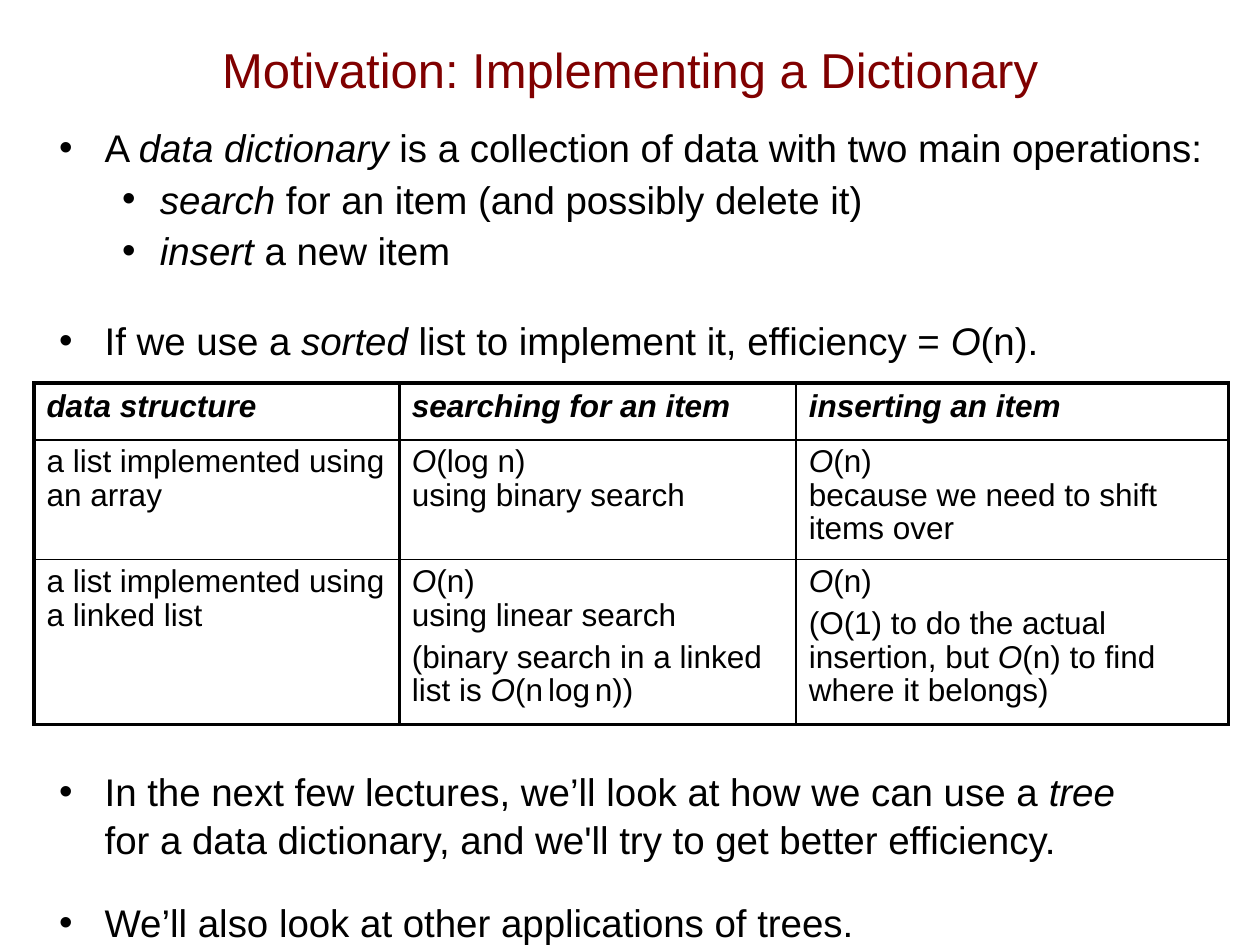
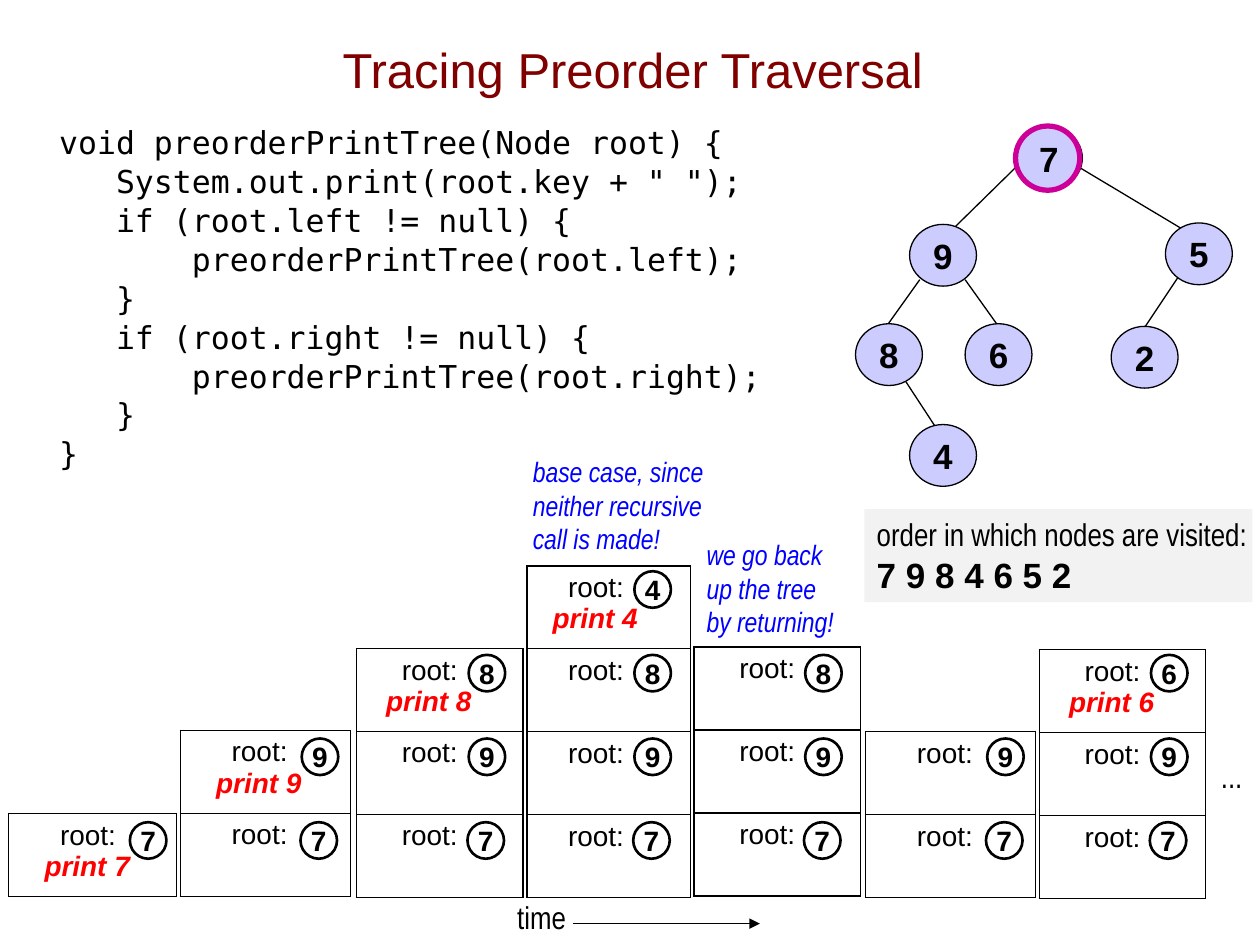
from dataclasses import dataclass
from itertools import groupby

from lxml import etree
from pptx import Presentation
from pptx import util as u
from pptx.dml.color import RGBColor
from pptx.enum import shapes, text
from pptx.oxml.ns import qn


@dataclass(frozen=True)
class Theme:
    ink: str = "000000"
    heading: str = "800000"
    printed: str = "FF0000"
    note: str = "0000FF"
    node: str = "CCCCFF"
    ring: str = "CC0099"
    panel: str = "F2F2F2"
    sans: str = "Arial"
    narrow: str = "Arial Narrow"
    mono: str = "DejaVu Sans Mono"
    title_size: int = 28
    bullet_size: int = 22
    key_size: int = 20
    text_size: int = 18
    frame_size: int = 16
    gap_size: int = 10
    thin: float = 0.75
    grid: float = 1
    medium: float = 1.5
    thick: float = 2.25
    bold_line: float = 3


T = Theme()

# In marked text, * toggles italics, | breaks the line and ~ is a narrow space.
DICTIONARY_TITLE = "Motivation: Implementing a Dictionary"
DICTIONARY_BULLETS = [
    (0, 0, "A *data dictionary *is a collection of data with two main operations:"),
    (1, 2, "*search* for an item (and possibly delete it)"),
    (1, 2, "*insert* a new item"),
    (0, 24, "If we use a *sorted* list to implement it, efficiency = *O*(n)."),
    (0, 230, "In the next few lectures, we’ll look at how we can use a *tree *|"
             "for a data dictionary, and we'll try to get better efficiency."),
    (0, 20, "We’ll also look at other applications of trees."),
]
BULLET_INDENTS = [(26, -26), (57.6, -21.6)]
EFFICIENCY = [
    [["*data structure*"], ["*searching for an item*"], ["*inserting an item*"]],
    [["a list implemented using an array"],
     ["*O*(log n)", "using binary search"],
     ["*O*(n)", "because we need to shift items over"]],
    [["a list implemented using a linked list"],
     ["*O*(n)", "using linear search",
      "(binary search in a linked list is *O*(n~log~n))"],
     ["*O*(n)", "(O(1) to do the actual insertion, but *O*(n) to find where it belongs)"]],
]
EFFICIENCY_COLUMNS = [208.8, 226.8, 247]
EFFICIENCY_ROWS = [32.4, 68.4, 94.3]

TRAVERSAL_TITLE = "Tracing Preorder Traversal"
CODE = [
    (0, "void preorderPrintTree(Node root) {"),
    (3, 'System.out.print(root.key + " ");'),
    (3, "if (root.left != null) {"),
    (7, "preorderPrintTree(root.left);"),
    (3, "}"),
    (3, "if (root.right != null) {"),
    (7, "preorderPrintTree(root.right);"),
    (3, "}"),
    (0, "}"),
]
CODE_CHAR = 10.84

# left, top, width, inset, unused rows, badge left, keys from the top, prints
STACKS = [
    (5, 370.1, 95.8, 7.2, 2, 74.2, "7", True),
    (103, 322.6, 97.2, 7.2, 2, 171.7, "97", True),
    (203.8, 275.8, 95, 3.6, 2, 267.1, "897", True),
    (301, 323.3, 93.6, 1.44, 0, 361.8, "4897", True),
    (396.7, 275, 95, 3.6, 2, 459.4, "897", False),
    (494.6, 323.3, 97.2, 7.2, 2, 563.4, "97", False),
    (594, 276.5, 95, 3.6, 2, 657, "697", True),
]
FRAME_HEIGHT = 47.4
ROOT_INDENT, PRINT_INDENT = 22.2, 13.3
BADGE_SIZE, BADGE_BASE, BADGE_STEP = 20.9, 469.8, 47.8

NODES = {
    "7": (580.3, 72.7), "9": (519.8, 128.2), "5": (666, 127.4),
    "8": (488.9, 185), "6": (551.5, 185), "2": (635, 186.5), "4": (519.8, 242.6),
}
NODE_SIZE = (38.2, 35.3)
BRANCHES = [
    (580.3, 95.8, 545.8, 129.6), (617, 95.8, 674.6, 130.3),
    (525.6, 159.8, 507.6, 185), (551.5, 159.8, 569.5, 185),
    (517.7, 218.2, 534.2, 243.4), (673.2, 158.4, 654.5, 186.5),
]
CURRENT_RING = (580.3, 72, 36.7, 36.7)
NOTES = [
    ((297.4, 256.3, 113, 65.5),
     ["base case, since", "neither recursive", "call is made!"]),
    ((396.7, 303.8, 87.8, 65.5),
     ["we go back", "up the tree", "by returning!"]),
]
TIME_LABEL = ((288, 509.8, 42.5, 28.8), "time")
TIME_ARROW = (327.6, 527.8, 434.2, 527.8)
MORE = ((687.6, 429.1, 32.4, 28.8), "...")
VISITED = ((493.9, 290.9, 221.8, 53.3),
           ["order in which nodes are visited:", "7 9 8 4 6 5 2"])


def pts(values):
    return [u.Pt(v) for v in values]


def style(run, size, color=T.ink, font=T.sans, bold=False, italic=False):
    run.font.size = u.Pt(size)
    run.font.name = font
    run.font.color.rgb = RGBColor.from_string(color)
    run.font.bold = bold
    run.font.italic = italic


def write(paragraph, words, size, **look):
    paragraph.text = words
    for run in paragraph.runs:
        style(run, size, **look)


def write_marked(paragraph, marked, size, bold=False):
    italic = False
    for mark, chars in groupby(marked, lambda c: c if c in "*|~" else ""):
        if mark == "*":
            italic = not italic
        elif mark == "|":
            paragraph.add_line_break()
        else:
            run = paragraph.add_run()
            run.text = " " if mark else "".join(chars)
            style(run, T.gap_size if mark else size, bold=bold, italic=italic)


def paragraphs(frame, items):
    for index, item in enumerate(items):
        yield (frame.add_paragraph() if index else frame.paragraphs[0]), item


def indent(paragraph, left, first=0, bullet=None):
    props = paragraph._p.get_or_add_pPr()
    props.set("marL", str(u.Pt(left)))
    props.set("indent", str(u.Pt(first)))
    if bullet:
        etree.SubElement(props, qn("a:buFont")).set("typeface", T.sans)
        etree.SubElement(props, qn("a:buChar")).set("char", bullet)
    else:
        etree.SubElement(props, qn("a:buNone"))


def place(shape, box):
    shape.left, shape.top, shape.width, shape.height = pts(box)


def add_slide(deck, title, title_box, body_box):
    slide = deck.slides.add_slide(deck.slide_layouts[1])
    heading, body = slide.placeholders
    for holder, box, anchor in ((heading, title_box, text.MSO_ANCHOR.MIDDLE),
                                (body, body_box, text.MSO_ANCHOR.TOP)):
        place(holder, box)
        holder.text_frame.auto_size = text.MSO_AUTO_SIZE.NONE
        holder.text_frame.vertical_anchor = anchor
    write(heading.text_frame.paragraphs[0], title, T.title_size, color=T.heading)
    heading.text_frame.paragraphs[0].alignment = text.PP_ALIGN.CENTER
    return slide, body.text_frame


def add_plain_table(slide, left, top, columns, rows):
    table = slide.shapes.add_table(len(rows), len(columns),
                                   *pts((left, top, sum(columns), sum(rows)))).table
    table.first_row = table.horz_banding = False
    table._tbl.tblPr.find(qn("a:tableStyleId")).text = "{2D5ABB26-0587-4C30-8999-92F81FD0307C}"
    for parts, sizes, side in ((table.columns, columns, "width"), (table.rows, rows, "height")):
        for part, size in zip(parts, sizes):
            setattr(part, side, u.Pt(size))
    for cell in table.iter_cells():
        cell.fill.background()
    return table


def border(cell, **widths):
    props = cell._tc.get_or_add_tcPr()
    for index, (side, width) in enumerate(widths.items()):
        line = etree.Element(qn(f"a:ln{side}"), w=str(u.Pt(width)))
        fill = etree.SubElement(line, qn("a:solidFill"))
        etree.SubElement(fill, qn("a:srgbClr")).set("val", T.ink)
        props.insert(index, line)


def add_line(slide, ends, arrow=False):
    line = slide.shapes.add_connector(shapes.MSO_CONNECTOR.STRAIGHT, *pts(ends))
    line.line.color.rgb = RGBColor.from_string(T.ink)
    line.line.width = u.Pt(T.thin)
    props = line._element.spPr
    if arrow:
        etree.SubElement(props.find(qn("a:ln")), qn("a:tailEnd")).set("type", "triangle")
    etree.SubElement(props, qn("a:effectLst"))


def add_figure(slide, kind, box, fill=None, line=None, width=T.thin):
    figure = slide.shapes.add_shape(kind, *pts(box))
    figure.shadow.inherit = False
    for color, paint in ((fill, figure.fill), (line, figure.line.fill)):
        if color:
            paint.solid()
            paint.fore_color.rgb = RGBColor.from_string(color)
        else:
            paint.background()
    if line:
        figure.line.width = u.Pt(width)
    return figure


def add_key(slide, key, box, size, wrap, **look):
    disc = add_figure(slide, shapes.MSO_SHAPE.OVAL, box, line=T.ink, **look)
    disc.text_frame.word_wrap = wrap
    disc.text_frame.vertical_anchor = text.MSO_ANCHOR.MIDDLE
    write(disc.text_frame.paragraphs[0], key, size, bold=True)
    disc.text_frame.paragraphs[0].alignment = text.PP_ALIGN.CENTER


def add_label(slide, box, lines, size, align, wrap=False, **look):
    frame = slide.shapes.add_textbox(*pts(box)).text_frame
    frame.word_wrap = wrap
    for paragraph, line in paragraphs(frame, lines):
        write(paragraph, line, size, font=T.narrow, **look)
        paragraph.alignment = align


def add_stack(slide, left, top, width, inset, unused, badge_left, keys, prints):
    rows = unused + len(keys)
    table = add_plain_table(slide, left, top, [width], [FRAME_HEIGHT] * rows)
    if unused:
        border(table.cell(unused - 1, 0), B=T.grid)
    for depth, key in enumerate(keys):
        cell = table.cell(unused + depth, 0)
        border(cell, L=T.grid, R=T.grid, T=T.grid, B=T.grid)
        cell.margin_left = cell.margin_right = u.Pt(inset)
        root = cell.text_frame.paragraphs[0]
        write(root, "root:", T.frame_size)
        indent(root, ROOT_INDENT)
        if prints and depth == 0:
            output = cell.text_frame.add_paragraph()
            write(output, f"print {key}", T.frame_size, color=T.printed, bold=True, italic=True)
            indent(output, PRINT_INDENT)
    for level, key in enumerate(reversed(keys)):
        box = (badge_left + 0.7 * (level > 0), BADGE_BASE - level * BADGE_STEP,
               BADGE_SIZE, BADGE_SIZE)
        add_key(slide, key, box, T.frame_size, False, width=T.medium)


def dictionary_slide(deck):
    slide, body = add_slide(deck, DICTIONARY_TITLE, (0, 5.8, 720, 67), (26.6, 66.2, 693.4, 442))
    for paragraph, (level, before, marked) in paragraphs(body, DICTIONARY_BULLETS):
        write_marked(paragraph, marked, T.bullet_size)
        paragraph.level = level
        paragraph.line_spacing = 1.04
        paragraph.space_before = u.Pt(before)
        indent(paragraph, *BULLET_INDENTS[level], bullet="•")
    table = add_plain_table(slide, 19.4, 218.9, EFFICIENCY_COLUMNS, EFFICIENCY_ROWS)
    for r, row in enumerate(EFFICIENCY):
        for c, lines in enumerate(row):
            cell = table.cell(r, c)
            border(cell, L=T.grid if c == 2 else T.thick, R=T.grid if c == 1 else T.thick,
                   T=T.grid if r else T.thick, B=T.thick if r == 2 else T.grid)
            for paragraph, marked in paragraphs(cell.text_frame, lines):
                write_marked(paragraph, marked, T.text_size, bold=r == 0)
                paragraph.line_spacing = 0.95 if r else 1.0
                paragraph.space_before = u.Pt(5 if marked.startswith("(") else 0)


def traversal_slide(deck):
    slide, body = add_slide(deck, TRAVERSAL_TITLE, (31, 5.8, 661, 67), (26.6, 66.2, 668.2, 442))
    for paragraph, (column, code) in paragraphs(body, CODE):
        write(paragraph, code, T.text_size, font=T.mono)
        paragraph.line_spacing = 1.03
        paragraph.space_before = u.Pt(0)
        indent(paragraph, column * CODE_CHAR)
    for stack in STACKS:
        add_stack(slide, *stack)
    for ends in BRANCHES:
        add_line(slide, ends)
    for key, corner in NODES.items():
        add_key(slide, key, corner + NODE_SIZE, T.key_size, True, fill=T.node)
    add_figure(slide, shapes.MSO_SHAPE.OVAL, CURRENT_RING, line=T.ring, width=T.bold_line)
    for box, lines in NOTES:
        add_label(slide, box, lines, T.frame_size, text.PP_ALIGN.LEFT, color=T.note, italic=True)
    add_label(slide, TIME_LABEL[0], [TIME_LABEL[1]], T.text_size, text.PP_ALIGN.RIGHT)
    add_line(slide, TIME_ARROW, arrow=True)
    add_label(slide, MORE[0], [MORE[1]], T.text_size, text.PP_ALIGN.CENTER, wrap=True)
    box, (caption, order) = VISITED
    panel = add_figure(slide, shapes.MSO_SHAPE.RECTANGLE, box, fill=T.panel).text_frame
    panel.vertical_anchor = text.MSO_ANCHOR.TOP
    panel.margin_right = u.Pt(1.4)
    write(panel.paragraphs[0], caption, T.text_size, font=T.narrow)
    write(panel.add_paragraph(), order, T.key_size, bold=True)
    for paragraph in panel.paragraphs:
        paragraph.alignment = text.PP_ALIGN.LEFT


def main():
    deck = Presentation()
    deck.slide_width, deck.slide_height = pts((720, 540))
    dictionary_slide(deck)
    traversal_slide(deck)
    deck.save("out.pptx")


if __name__ == "__main__":
    main()
